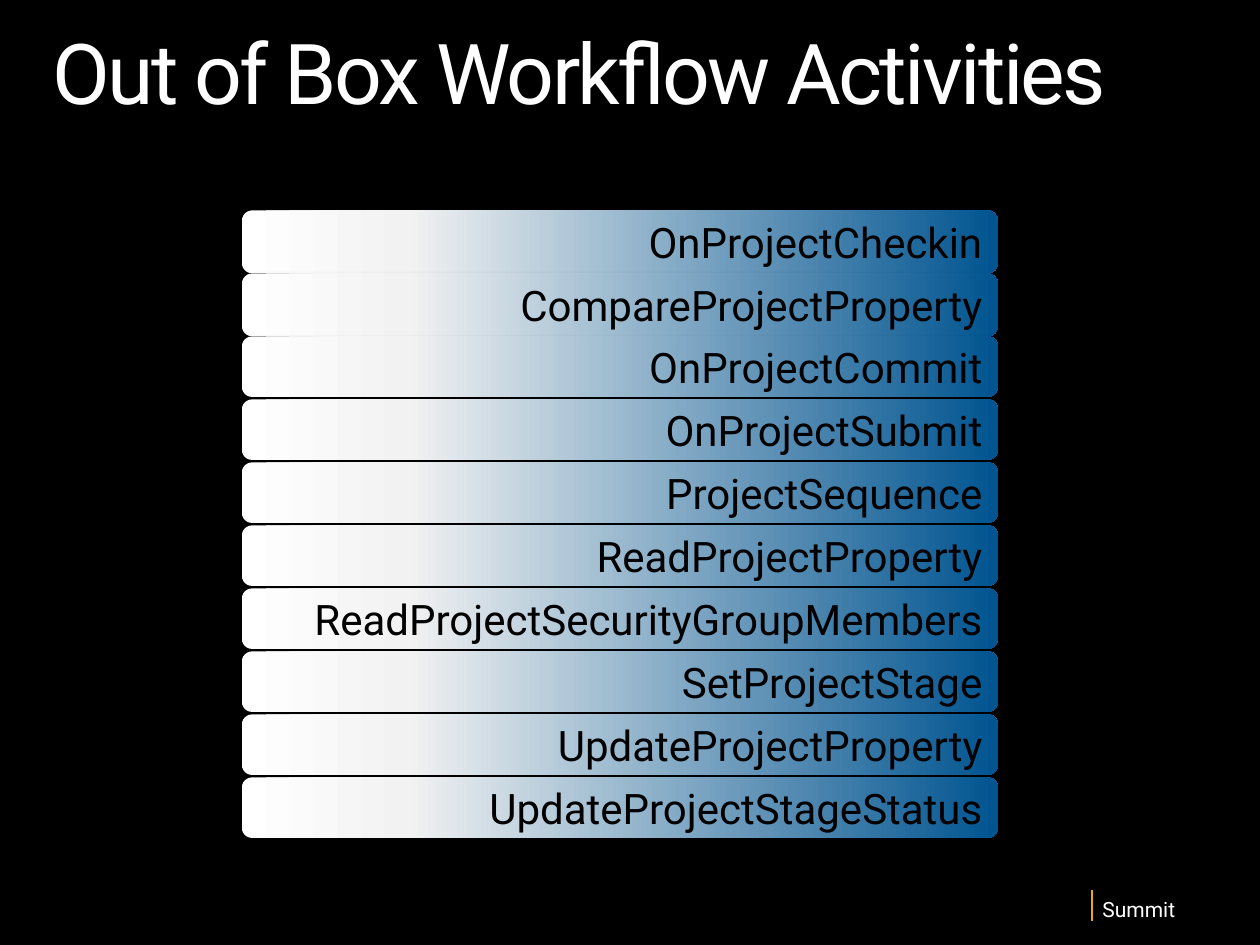
from lxml import etree
from copy import deepcopy

from pptx import Presentation
from pptx import util as u
from pptx.dml.color import RGBColor
from pptx.enum import shapes, text
from pptx.oxml.ns import qn

ACTIVITIES = [
    "OnProjectCheckin",
    "CompareProjectProperty",
    "OnProjectCommit",
    "OnProjectSubmit",
    "ProjectSequence",
    "ReadProjectProperty",
    "ReadProjectSecurityGroupMembers",
    "SetProjectStage",
    "UpdateProjectProperty",
    "UpdateProjectStageStatus",
]


def rgb(hex_color):
    return RGBColor.from_string(hex_color)


def write(frame, content, size, color, align=None, line_spacing=None,
          tracking=None, font="Roboto"):
    paragraph = frame.paragraphs[0]
    paragraph.alignment = align
    paragraph.line_spacing = line_spacing
    run = paragraph.add_run()
    run.text = content
    run.font.name = font
    run.font.size = u.Pt(size)
    run.font.color.rgb = rgb(color)
    if tracking is not None:
        run.font._element.set("spc", str(int(tracking * 100)))


class ActivitySlide:
    BACKGROUND, LIGHT, DARK, ACCENT = "000000", "FFFFFF", "000000", "E7AE00"
    GRADIENT = [(0, "FFFFFF"), (0.22, "F2F2F2"), (1, "005490")]

    def __init__(self, deck):
        self.slide = deck.slides.add_slide(deck.slide_layouts[6])
        fill = self.slide.background.fill
        fill.solid()
        fill.fore_color.rgb = rgb(self.BACKGROUND)

    def label(self, content, left, top, width, height, size, tracking=None):
        box = self.slide.shapes.add_textbox(*map(u.Inches, (left, top, width, height)))
        frame = box.text_frame
        frame.word_wrap = True
        frame.auto_size = text.MSO_AUTO_SIZE.SHAPE_TO_FIT_TEXT
        frame.margin_left = frame.margin_right = 0
        frame.margin_top = frame.margin_bottom = 0
        write(frame, content, size, self.LIGHT, line_spacing=0.9, tracking=tracking)

    def rule(self, x, top, bottom):
        line = self.slide.shapes.add_connector(
            shapes.MSO_CONNECTOR.STRAIGHT, *map(u.Inches, (x, top, x, bottom)))
        line.line.color.rgb = rgb(self.ACCENT)
        line.line.width = u.Pt(1.25)
        etree.SubElement(line._element.spPr, qn("a:effectLst"))

    def bar(self, content, left, top, width, height):
        bar = self.slide.shapes.add_shape(
            shapes.MSO_SHAPE.ROUNDED_RECTANGLE,
            *map(u.Inches, (left, top, width, height)))
        bar.line.fill.background()
        self.apply_gradient(bar)
        self.apply_shadow(bar)
        frame = bar.text_frame
        frame.word_wrap = True
        frame.vertical_anchor = text.MSO_ANCHOR.MIDDLE
        write(frame, content, 24, self.DARK, align=text.PP_ALIGN.RIGHT)

    def apply_gradient(self, shape):
        shape.fill.gradient()
        shape.fill.gradient_angle = 0
        stop_list = shape._element.spPr.find(".//" + qn("a:gsLst"))
        stop_list.append(deepcopy(stop_list[-1]))
        for stop, (position, color) in zip(shape.fill.gradient_stops, self.GRADIENT):
            stop.position = position
            stop.color.rgb = rgb(color)

    def apply_shadow(self, shape):
        shape.shadow.inherit = False
        effects = shape._element.spPr.find(qn("a:effectLst"))
        shadow = etree.SubElement(
            effects, qn("a:outerShdw"), blurRad=str(u.Pt(4)), dist=str(u.Pt(3)),
            dir="5400000", rotWithShape="0")
        color = etree.SubElement(shadow, qn("a:srgbClr"), val=self.DARK)
        etree.SubElement(color, qn("a:alpha"), val="43000")


def main():
    deck = Presentation()
    deck.slide_width, deck.slide_height = u.Inches(10), u.Inches(7.5)
    page = ActivitySlide(deck)
    page.label("Summit", 8.75, 7.14, 0.83, 0.18, size=12)
    page.rule(8.67, 7.06, 7.31)
    page.label("Out of Box Workflow Activities", 0.42, 0.25, 9.17, 0.73,
               size=48, tracking=-1.5)
    for row, activity in enumerate(ACTIVITIES):
        height = 0.5 if row < 2 else 0.48
        page.bar(activity, 1.92, 1.67 + 0.5 * row, 6, height)
    deck.save("out.pptx")


if __name__ == "__main__":
    main()
